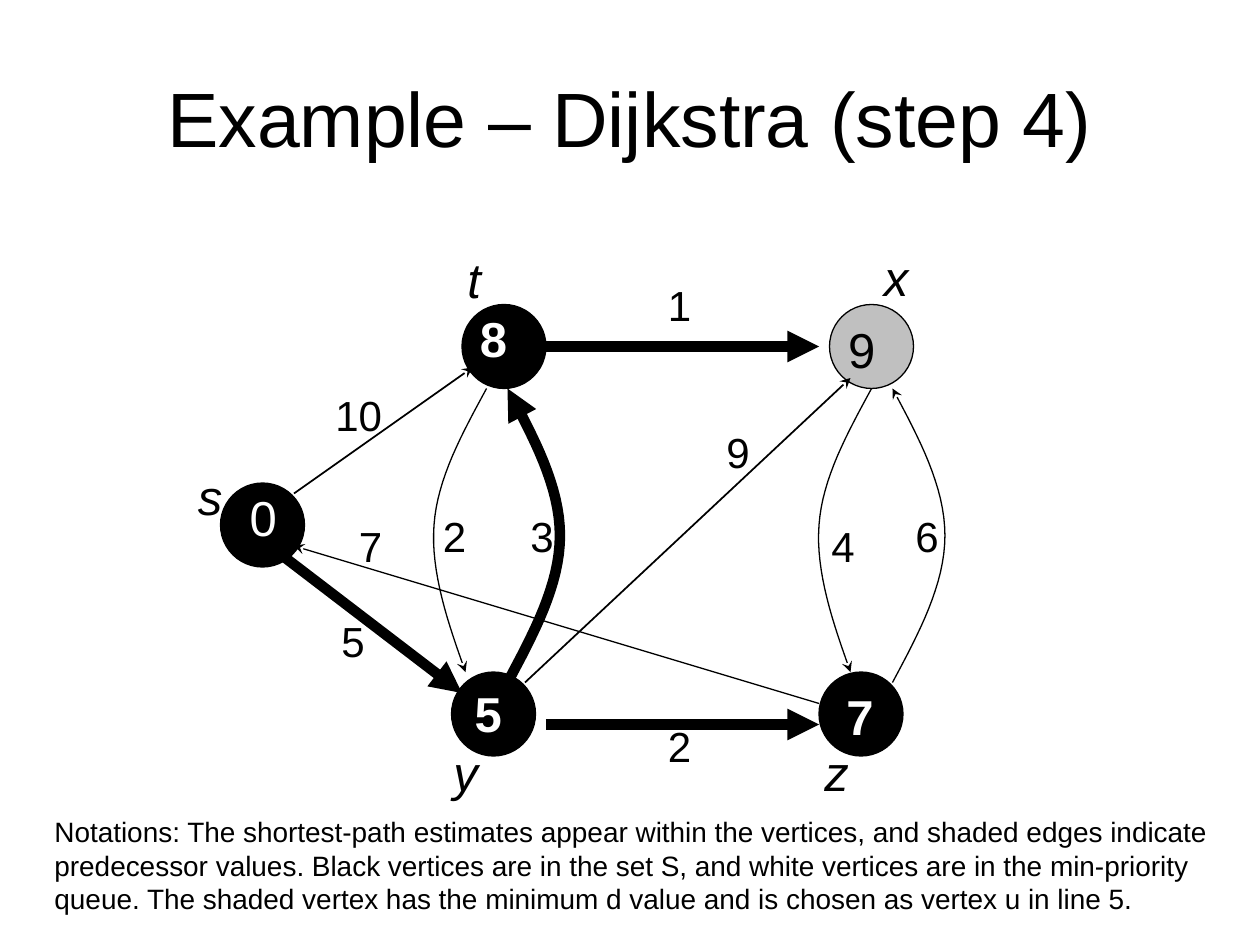
from lxml.etree import SubElement as Sub
from pptx import Presentation
from pptx.dml.color import RGBColor as Rgb
from pptx.enum.shapes import MSO_CONNECTOR as Conn, MSO_SHAPE as Shape
from pptx.enum.text import MSO_ANCHOR as Anchor, MSO_AUTO_SIZE as Fit, PP_ALIGN as Align
from pptx.oxml.ns import qn
from pptx.util import Pt

COLORS = {"black": "000000", "white": "FFFFFF", "gray": "C0C0C0"}


class Graph:
    font = "Arial"
    size = 48  # vertex diameter
    thin, thick = 0.75, 6

    def __init__(self, slide):
        self.slide = slide
        self.shapes = slide.shapes

    def color(self, name):
        return Rgb.from_string(COLORS[name])

    def text(self, x, y, w, h, words, size, color="black", bold=False,
             italic=False, align=Align.CENTER, wrap=False, anchor=Anchor.TOP):
        box = self.shapes.add_textbox(Pt(x), Pt(y), Pt(w), Pt(h))
        frame = box.text_frame
        frame.text = words
        frame.word_wrap = wrap
        frame.auto_size = Fit.NONE if wrap else Fit.SHAPE_TO_FIT_TEXT
        frame.vertical_anchor = anchor
        para = frame.paragraphs[0]
        para.alignment = align
        font = para.runs[0].font
        font.name, font.size = self.font, Pt(size)
        font.bold, font.italic = bold, italic
        font.color.rgb = self.color(color)

    def vertex(self, x, y, fill):
        dot = self.shapes.add_shape(
            Shape.OVAL, Pt(x), Pt(y), Pt(self.size), Pt(self.size))
        dot.shadow.inherit = False
        dot.fill.solid()
        dot.fill.fore_color.rgb = self.color(fill)
        self.stroke(dot, self.thin)

    def stroke(self, item, width, head=None):
        item.line.color.rgb = self.color("black")
        item.line.width = Pt(width)
        if head:
            Sub(item.line._get_or_add_ln(), qn("a:tailEnd"), type=head)

    def head(self, width):
        return "triangle" if width == self.thick else "stealth"

    def edge(self, start, end, width):
        line = self.shapes.add_connector(
            Conn.STRAIGHT, *[Pt(v) for v in (*start, *end)])
        self.stroke(line, width, self.head(width))
        Sub(line._element.spPr, qn("a:effectLst"))

    def curve(self, x, y, bends, width, steps=16):
        """Draw joined cubic curves; bends are offsets from the start."""
        spots = []
        for i in range(0, len(bends) - 1, 3):
            a, b, c, d = bends[i:i + 4]
            for n in range(1, steps + 1):
                t = n / steps
                u = 1 - t
                mix = [u**3 * p + 3 * u * u * t * q + 3 * u * t * t * r + t**3 * s
                       for p, q, r, s in zip(a, b, c, d)]
                spots.append((Pt(x + mix[0]), Pt(y + mix[1])))
        pen = self.shapes.build_freeform(Pt(x), Pt(y))
        pen.add_line_segments(spots, close=False)
        arc = pen.convert_to_shape()
        arc.shadow.inherit = False
        arc.fill.background()
        self.stroke(arc, width, self.head(width))


def main():
    deck = Presentation()
    deck.slide_width, deck.slide_height = Pt(720), Pt(540)
    graph = Graph(deck.slides.add_slide(deck.slide_layouts[6]))
    thin, thick = graph.thin, graph.thick

    # Title
    graph.text(36, 21.6, 648, 90, "Example – Dijkstra (step 4)", 44,
               wrap=True, anchor=Anchor.MIDDLE)

    # Vertices
    for x, y, fill in [(126, 276, "black"), (264, 174, "black"),
                       (258, 384, "black"), (474, 174, "gray"),
                       (468, 384, "black")]:
        graph.vertex(x, y, fill)

    # Straight edges
    for start, end, width in [
        ((162, 318), (264, 396), thick),
        ((168, 282), (270, 210), 1),
        ((312, 414), (468, 414), thick),
        ((300, 390), (486, 216), 1),
        ((468, 402), (168, 312), thin),
        ((312, 198), (468, 198), thick),
    ]:
        graph.edge(start, end, width)

    # Curved edges
    rise = [(0, 0), (15, -28), (30, -56), (30, -84),
            (30, -112), (15, -140), (0, -168)]
    fall = [(0, 0), (-14, 26), (-28, 51), (-30, 78),
            (-32, 105), (-22, 134), (-12, 162)]
    for x, y, bends, width in [(510, 390, rise, thin), (498, 222, fall, thin),
                               (290, 390, rise, thick), (278, 222, fall, thin)]:
        graph.curve(x, y, bends, width)

    # Edge weights
    for x, y, words in [
        (184.5, 219, "10"), (188, 348, "5"), (246, 288, "2"),
        (374.5, 156, "1"), (468, 294, "4"), (408, 240, "9"),
        (516, 288, "6"), (374.5, 408, "2"), (198, 294, "7"),
        (296, 288, "3"),
    ]:
        graph.text(x, y, 14 + 13.5 * len(words), 36, words, 24)

    # Vertex names
    for x, y, name in [(106, 263, "s"), (257, 139, "t"), (498, 138, "x"),
                       (252, 421, "y"), (464, 421, "z")]:
        graph.text(x, y, 28, 41, name, 28, italic=True)

    # Path estimates
    for x, y, words, color, bold in [
        (135.5, 275, "0", "white", False), (267, 173, "8", "white", True),
        (264, 387, "5", "white", True), (477.5, 179, "9", "black", False),
        (476.5, 389, "7", "white", True),
    ]:
        graph.text(x, y, 30, 41, words, 28, color, bold)

    # Notations
    graph.text(
        24, 462, 696, 65,
        "Notations: The shortest-path estimates appear within the vertices, "
        "and shaded edges indicate predecessor values. Black vertices are in "
        "the set S, and white vertices are in the min-priority queue. The "
        "shaded vertex has the minimum d value and is chosen as vertex u in "
        "line 5.", 16, align=Align.LEFT, wrap=True)

    deck.save("out.pptx")


if __name__ == "__main__":
    main()
